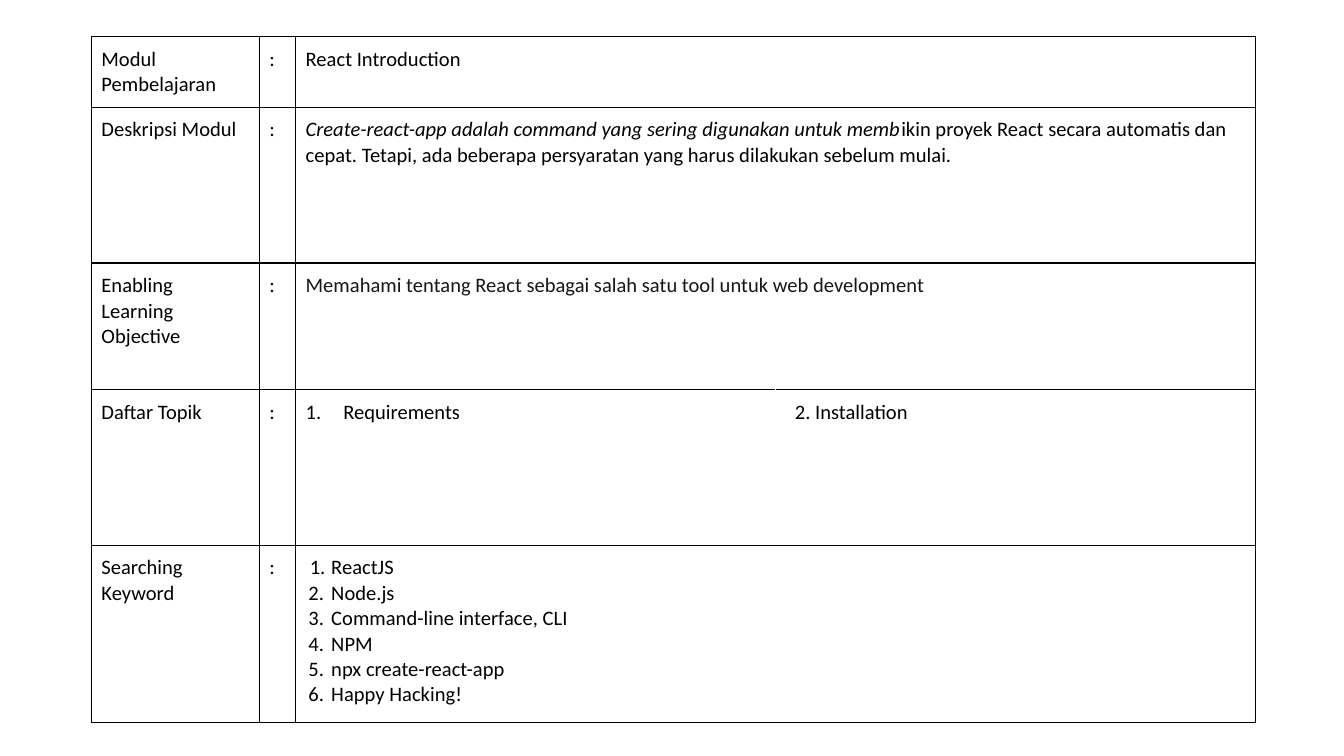
from lxml.etree import SubElement
from pptx import Presentation
from pptx.dml.color import RGBColor
from pptx.enum.text import PP_ALIGN
from pptx.oxml.ns import qn
from pptx.util import Inches, Pt

COLORS = {"ink": "000000", "soft_ink": "171616", "paper": "FFFFFF"}
FONT = {"name": "Calibri", "size": Pt(11), "bold": False}
MARGINS = {f"margin_{side}": Pt(5.4) for side in ("left", "right", "top", "bottom")}
TABLE_OPTIONS = {"first_row": False, "horz_banding": False}
SLIDE_SIZE = {"slide_width": Inches(10), "slide_height": Inches(10) * 9 // 16}
BOX_SHARES = (0.068, 0.048, 0.866, 0.887)
COLUMN_UNITS = (125, 27, 357, 357)
ROW_UNITS = (41, 116, 94, 116, 132)
TOPIC_ROW = 3

KEYWORDS = (
    "ReactJS",
    "Node.js",
    "Command-line interface, CLI",
    "NPM",
    "npx create-react-app",
    "Happy Hacking!",
)


def line(*runs, **layout):
    return {"runs": [(run, {}) if isinstance(run, str) else run for run in runs], **layout}


MODULE_ROWS = (
    ("Modul Pembelajaran", [[line("React Introduction")]]),
    ("Deskripsi Modul", [[line(
        ("Create-react-app adalah command yang sering digunakan untuk memb", {"italic": True}),
        "ikin proyek React secara automatis dan cepat. "
        "Tetapi, ada beberapa persyaratan yang harus dilakukan sebelum mulai.",
    )]]),
    ("Enabling Learning Objective", [[line(
        "Memahami tentang React sebagai salah satu tool untuk web development",
        align=PP_ALIGN.JUSTIFY, color="soft_ink",
    )]]),
    ("Daftar Topik", [
        [line("Requirements", indent=(0.28, -0.28), numbered=True)],
        [line("2. Installation", indent=(0.28, -0.21))],
    ]),
    ("Searching Keyword", [[
        line(keyword, indent=(0.19, -0.17 if index else -0.16), numbered=True)
        for index, keyword in enumerate(KEYWORDS)
    ]]),
)


def apply(target, values):
    for name, value in values.items():
        setattr(target, name, value)


def add_color(parent, color):
    SubElement(SubElement(parent, qn("a:solidFill")), qn("a:srgbClr"), val=COLORS[color])


def format_cell(cell, white_side=None):
    apply(cell, MARGINS)
    properties = cell._tc.get_or_add_tcPr()
    for side in "LRTB":
        border = SubElement(properties, qn(f"a:ln{side}"), w=str(Pt(0.75)))
        add_color(border, "paper" if side == white_side else "ink")
    cell.fill.background()


def format_paragraph(paragraph, indent=None, numbered=False, align=PP_ALIGN.LEFT):
    paragraph.alignment = align
    properties = paragraph._p.get_or_add_pPr()
    if indent:
        for name, inches in zip(("marL", "indent"), indent):
            properties.set(name, str(Inches(inches)))
    if numbered:
        bullet_color = SubElement(properties, qn("a:buClr"))
        SubElement(bullet_color, qn("a:srgbClr"), val=COLORS["ink"])
        SubElement(properties, qn("a:buFont"), typeface=FONT["name"])
        SubElement(properties, qn("a:buAutoNum"), type="arabicPeriod")


def fill_cell(cell, lines):
    frame = cell.text_frame
    for index, content in enumerate(lines):
        paragraph = frame.add_paragraph() if index else frame.paragraphs[0]
        layout = {key: content[key] for key in ("indent", "numbered", "align") if key in content}
        format_paragraph(paragraph, **layout)
        for text, emphasis in content["runs"]:
            run = paragraph.add_run()
            run.text = text
            apply(run.font, {**FONT, **emphasis})
            run.font.color.rgb = RGBColor.from_string(COLORS[content.get("color", "ink")])


def add_module_table(slide, box):
    left, top, width, height = box
    shape = slide.shapes.add_table(len(ROW_UNITS), len(COLUMN_UNITS), left, top, width, height)
    table = shape.table
    apply(table, TABLE_OPTIONS)
    for column, units in zip(table.columns, COLUMN_UNITS):
        column.width = int(width * units / sum(COLUMN_UNITS))
    for row, units in zip(table.rows, ROW_UNITS):
        row.height = int(height * units / sum(ROW_UNITS))

    for row_index, (label, contents) in enumerate(MODULE_ROWS):
        white_sides = {2: "R", 3: "L"} if row_index == TOPIC_ROW else {}
        for column_index in range(len(COLUMN_UNITS)):
            format_cell(table.cell(row_index, column_index), white_sides.get(column_index))
        if len(contents) == 1:
            table.cell(row_index, 2).merge(table.cell(row_index, 3))
        for column_index, lines in enumerate([[line(label)], [line(":")], *contents]):
            fill_cell(table.cell(row_index, column_index), lines)


def main():
    presentation = Presentation()
    apply(presentation, SLIDE_SIZE)
    slide = presentation.slides.add_slide(presentation.slide_layouts[6])
    sizes = (presentation.slide_width, presentation.slide_height) * 2
    add_module_table(slide, [int(size * share) for size, share in zip(sizes, BOX_SHARES)])
    presentation.save("out.pptx")


if __name__ == "__main__":
    main()
